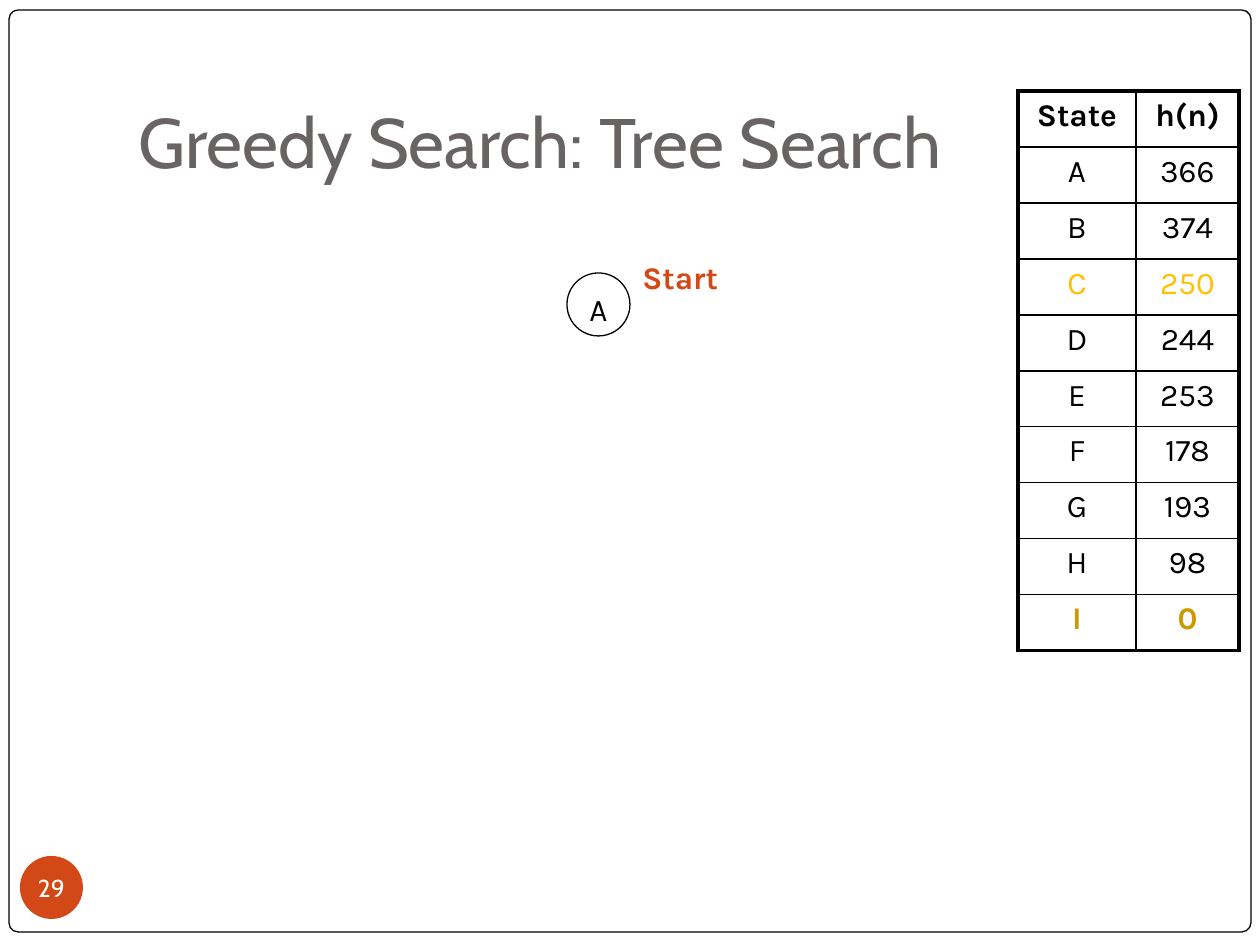
"""Build the greedy tree search slide with its heuristic table."""
from dataclasses import dataclass

import lxml.etree
import pptx
import pptx.dml.color
import pptx.enum.shapes
import pptx.enum.text
import pptx.oxml.ns
import pptx.util

PX = pptx.util.Inches(1) / 126
COLORS = {
    "ink": "000000",
    "paper": "FFFFFF",
    "title": "696464",
    "accent": "D34817",
    "current": "FFC000",
    "goal": "CC9900",
}
ALIGN = pptx.enum.text.PP_ALIGN
ANCHOR = pptx.enum.text.MSO_ANCHOR
SHAPE = pptx.enum.shapes.MSO_SHAPE
THIN, THICK = 1, 2.25


@dataclass(frozen=True)
class Box:
    left: int
    top: int
    width: int
    height: int

    def emu(self) -> tuple[int, ...]:
        return tuple(round(n * PX) for n in (self.left, self.top, self.width, self.height))


@dataclass(frozen=True)
class Style:
    size: int = 18
    font: str = "Karla"
    color: str = "ink"
    bold: bool = False
    align: ALIGN = ALIGN.LEFT


@dataclass(frozen=True)
class StateRow:
    state: str
    estimate: str
    color: str = "ink"
    bold: bool = False


STATES = [
    StateRow("State", "h(n)", bold=True),
    StateRow("A", "366"),
    StateRow("B", "374"),
    StateRow("C", "250", "current"),
    StateRow("D", "244"),
    StateRow("E", "253"),
    StateRow("F", "178"),
    StateRow("G", "193"),
    StateRow("H", "98"),
    StateRow("I", "0", "goal", True),
]


def rgb(name: str) -> pptx.dml.color.RGBColor:
    return pptx.dml.color.RGBColor.from_string(COLORS[name])


def write(frame, text: str, style: Style) -> None:
    paragraph = frame.paragraphs[0]
    paragraph.alignment = style.align
    run = paragraph.add_run()
    run.text = text
    run.font.size = pptx.util.Pt(style.size)
    run.font.name = style.font
    run.font.bold = style.bold
    run.font.color.rgb = rgb(style.color)


def add_shape(shapes, kind: SHAPE, box: Box, fill: str | None, line: str | None):
    shape = shapes.add_shape(kind, *box.emu())
    shape.shadow.inherit = False
    if fill:
        shape.fill.solid()
        shape.fill.fore_color.rgb = rgb(fill)
    else:
        shape.fill.background()
    if line:
        shape.line.color.rgb = rgb(line)
        shape.line.width = pptx.util.Pt(0.75)
    else:
        shape.line.fill.background()
    return shape


def add_label(shapes, box: Box, text: str, style: Style) -> None:
    frame = shapes.add_textbox(*box.emu()).text_frame
    frame.word_wrap = True
    write(frame, text, style)


def set_borders(cell, widths: dict[str, float]) -> None:
    properties = cell._tc.get_or_add_tcPr()
    for position, (side, points) in enumerate(widths.items()):
        border = lxml.etree.Element(
            pptx.oxml.ns.qn(f"a:ln{side}"), w=str(pptx.util.Pt(points))
        )
        fill = lxml.etree.SubElement(border, pptx.oxml.ns.qn("a:solidFill"))
        lxml.etree.SubElement(fill, pptx.oxml.ns.qn("a:srgbClr"), val=COLORS["ink"])
        properties.insert(position, border)


def add_state_table(shapes, box: Box, column_widths: list[int]) -> None:
    table = shapes.add_table(len(STATES), len(column_widths), *box.emu()).table
    table.first_row = table.horz_banding = False
    for column, width in zip(table.columns, column_widths):
        column.width = round(width * PX)
    last_row, last_column = len(STATES) - 1, len(column_widths) - 1
    for r, row in enumerate(STATES):
        style = Style(color=row.color, bold=row.bold, align=ALIGN.CENTER)
        for c, text in enumerate((row.state, row.estimate)):
            cell = table.cell(r, c)
            cell.fill.background()
            write(cell.text_frame, text, style)
            set_borders(cell, {
                "L": THICK if c == 0 else THIN,
                "R": THICK if c == last_column else THIN,
                "T": THICK if r == 0 else THIN,
                "B": THICK if r == last_row else THIN,
            })


def main() -> None:
    deck = pptx.Presentation()
    deck.slide_width, deck.slide_height = Box(0, 0, 1260, 945).emu()[2:]
    slide = deck.slides.add_slide(deck.slide_layouts[5])
    shapes = slide.shapes

    border = add_shape(shapes, SHAPE.ROUNDED_RECTANGLE, Box(9, 10, 1242, 922), "paper", "ink")
    border.adjustments[0] = 0.01
    shapes._spTree.insert(2, border._element)

    title = shapes.title
    title.left, title.top, title.width, title.height = Box(126, 38, 1071, 157).emu()
    title.text_frame.vertical_anchor = ANCHOR.BOTTOM
    title.text_frame.margin_bottom = pptx.util.Inches(0.1)
    write(title.text_frame, "Greedy Search: Tree Search", Style(40, "Cabin", "title"))

    page = add_shape(shapes, SHAPE.OVAL, Box(20, 856, 63, 63), "accent", None).text_frame
    page.margin_left = page.margin_right = page.margin_top = page.margin_bottom = 0
    page.vertical_anchor = ANCHOR.MIDDLE
    write(page, "29", Style(14, "Cabin", "paper", align=ALIGN.CENTER))

    start_node = shapes.add_group_shape().shapes
    add_shape(start_node, SHAPE.OVAL, Box(567, 273, 63, 63), None, "ink")
    add_label(start_node, Box(577, 284, 42, 50), "A", Style())
    add_label(shapes, Box(630, 252, 168, 50), "Start", Style(color="accent", bold=True))

    add_state_table(shapes, Box(1018, 91, 221, 560), [118, 103])
    deck.save("out.pptx")


if __name__ == "__main__":
    main()
